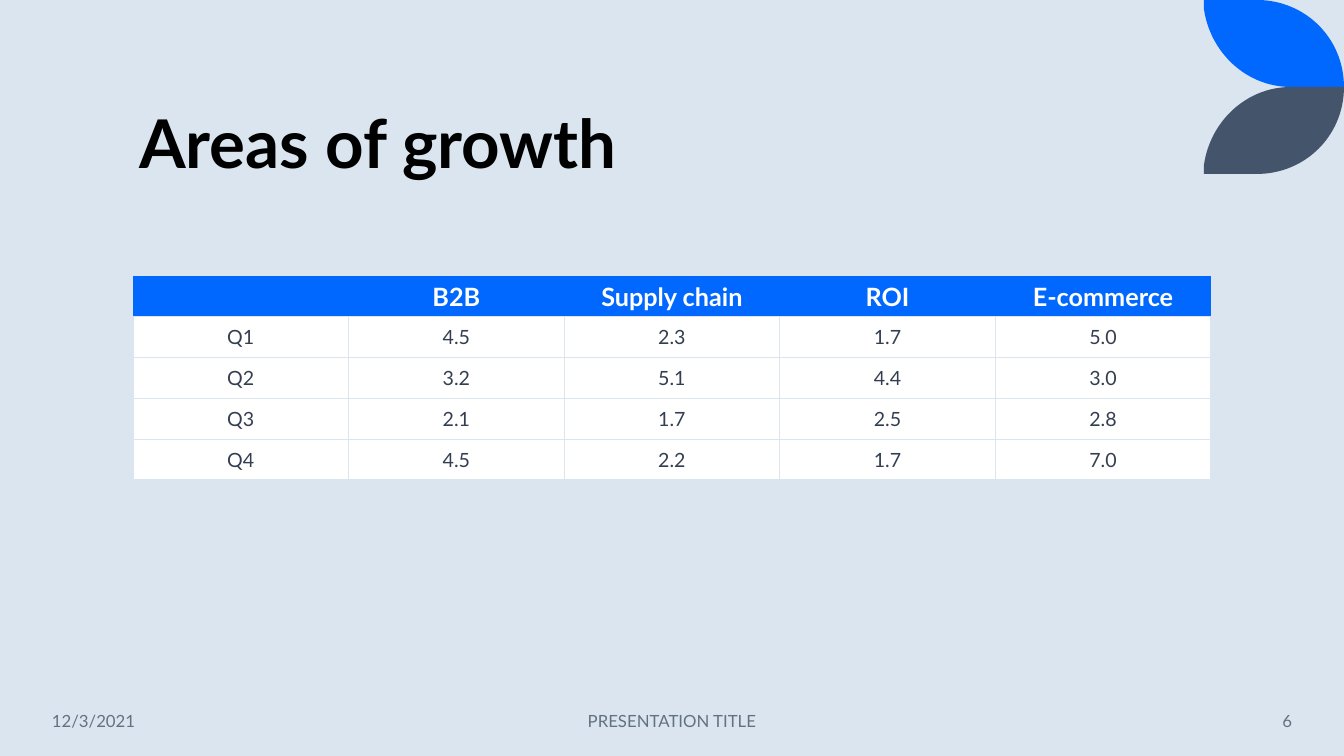
from lxml import etree
from pptx import Presentation
from pptx.dml.color import RGBColor
from pptx.enum.text import MSO_ANCHOR, MSO_AUTO_SIZE, PP_ALIGN
from pptx.oxml.ns import qn
from pptx.util import Emu, Pt

PX = 914400 / 100.8
LEFT, CENTER, RIGHT = PP_ALIGN.LEFT, PP_ALIGN.CENTER, PP_ALIGN.RIGHT
MIDDLE, BOTTOM = MSO_ANCHOR.MIDDLE, MSO_ANCHOR.BOTTOM
NO_AUTOFIT = MSO_AUTO_SIZE.NONE

PALE_BLUE = RGBColor(0xDA, 0xE5, 0xEF)
BLUE = RGBColor(0x00, 0x68, 0xFF)
SLATE = RGBColor(0x44, 0x54, 0x6A)
INK = RGBColor(0x33, 0x3F, 0x50)
GRAY = RGBColor(0x63, 0x71, 0x83)
BLACK = RGBColor(0x00, 0x00, 0x00)
WHITE = RGBColor(0xFF, 0xFF, 0xFF)
NO_STYLE_NO_GRID = "{2D5ABB26-0587-4C30-8999-92F81FD0307C}"


def px(*lengths):
    return [Emu(round(length * PX)) for length in lengths]


def write(text_frame, text, size, color, bold=False, align=LEFT, spacing=1.0):
    paragraph = text_frame.paragraphs[0]
    paragraph.alignment = align
    paragraph.line_spacing = spacing
    run = paragraph.add_run()
    run.text = text
    run.font.name = "Lato"
    run.font.size = Pt(size)
    run.font.bold = bold
    run.font.color.rgb = color


presentation = Presentation()
presentation.slide_width, presentation.slide_height = px(1344, 756)
slide = presentation.slides.add_slide(presentation.slide_layouts[5])
slide.background.fill.solid()
slide.background.fill.fore_color.rgb = PALE_BLUE

# Corner leaves: the lower one mirrors the upper one
LEAF_HEIGHT = 87
upper_leaf = [
    (1204, 0), (1257, 0),
    (1305, 0), (1344, 38), (1344, 87),
    (1291, 87),
    (1246, 87), (1210, 52), (1204, 9),
]
lower_leaf = [(x, 2 * LEAF_HEIGHT - y) for x, y in upper_leaf]
for outline, color in ((upper_leaf, BLUE), (lower_leaf, SLATE)):
    points = [px(x, y) for x, y in outline]
    builder = slide.shapes.build_freeform(*points[0])
    builder.add_line_segments(points[1:], close=True)
    leaf = builder.convert_to_shape()
    leaf.shadow.inherit = False
    leaf.fill.solid()
    leaf.fill.fore_color.rgb = color
    leaf.line.fill.background()
    # Two control points and an end point become one curve
    segments = list(leaf._element.iter(qn("a:lnTo")))
    for first in (1, 5):
        curve = etree.Element(qn("a:cubicBezTo"))
        segments[first].addprevious(curve)
        for segment in segments[first:first + 3]:
            curve.append(segment[0])
            segment.getparent().remove(segment)

# Title
title = slide.shapes.title
title.left, title.top, title.width, title.height = px(129, 42, 1078, 146)
title.text_frame.auto_size = NO_AUTOFIT
title.text_frame.vertical_anchor = BOTTOM
write(title.text_frame, "Areas of growth", 48, BLACK, bold=True, spacing=0.9)

# Growth table
growth = [
    ["", "B2B", "Supply chain", "ROI", "E-commerce"],
    ["Q1", "4.5", "2.3", "1.7", "5.0"],
    ["Q2", "3.2", "5.1", "4.4", "3.0"],
    ["Q3", "2.1", "1.7", "2.5", "2.8"],
    ["Q4", "4.5", "2.2", "1.7", "7.0"],
]
frame = slide.shapes.add_table(len(growth), len(growth[0]), *px(133, 276, 1078, 204))
table = frame.table
frame._element.find(".//" + qn("a:tableStyleId")).text = NO_STYLE_NO_GRID
for row_index, values in enumerate(growth):
    header = row_index == 0
    for column_index, value in enumerate(values):
        cell = table.cell(row_index, column_index)
        cell.vertical_anchor = MIDDLE
        properties = cell._tc.get_or_add_tcPr()
        for edge in ["lnB"] if header else ["lnL", "lnR", "lnT", "lnB"]:
            border = etree.SubElement(properties, qn("a:" + edge), w=str(Pt(1)))
            fill = etree.SubElement(border, qn("a:solidFill"))
            etree.SubElement(fill, qn("a:srgbClr"), val=str(PALE_BLUE))
        cell.fill.solid()
        cell.fill.fore_color.rgb = BLUE if header else WHITE
        if value:
            write(cell.text_frame, value, 18 if header else 14,
                  WHITE if header else INK, bold=header, align=CENTER)

# Footer
for text, left, width, align in (
    ("12/3/2021", 42, 188, LEFT),
    ("PRESENTATION TITLE", 445, 454, CENTER),
    ("6", 1119, 183, RIGHT),
):
    footer = slide.shapes.add_textbox(*px(left, 701, width, 40)).text_frame
    footer.word_wrap = True
    footer.vertical_anchor = MIDDLE
    write(footer, text, 12, GRAY, align=align)

presentation.save("out.pptx")
